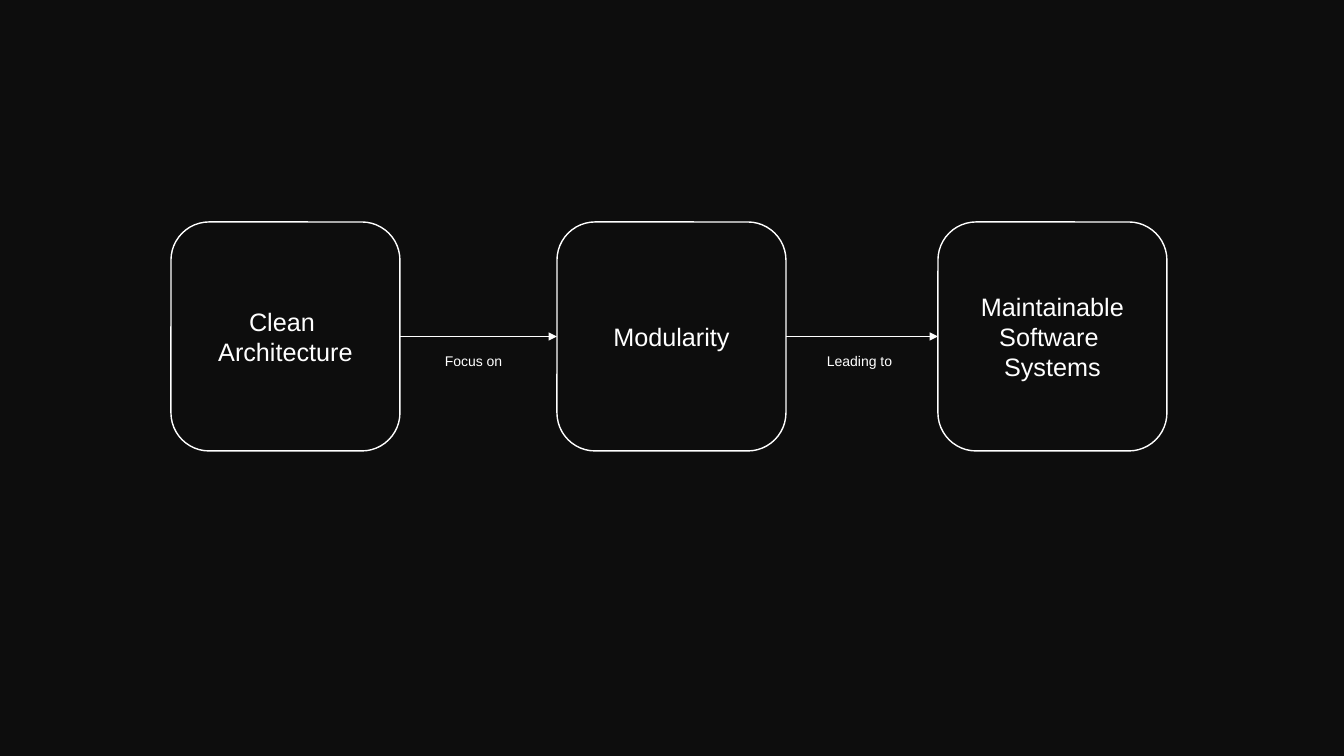
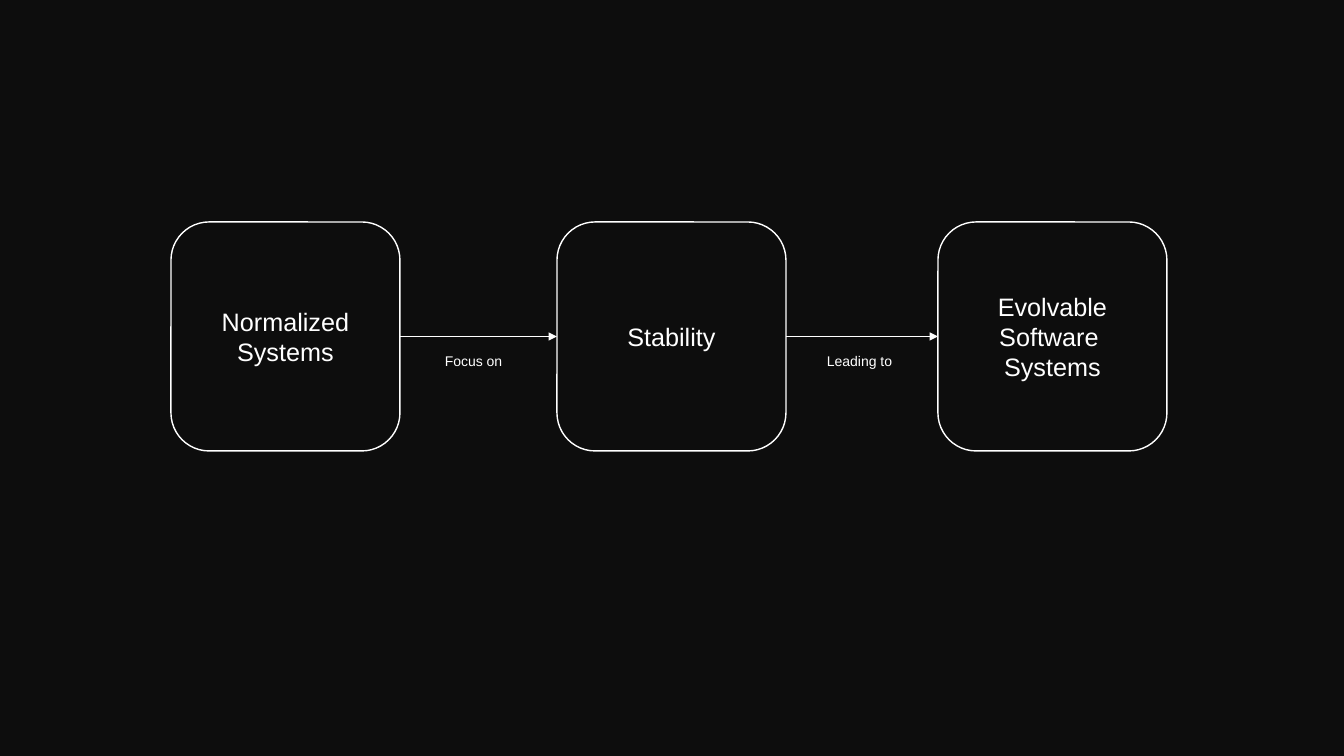
from lxml import etree
from pptx import Presentation
from pptx.dml.color import RGBColor
from pptx.enum.shapes import MSO_CONNECTOR, MSO_SHAPE
from pptx.enum.text import MSO_ANCHOR, MSO_AUTO_SIZE, PP_ALIGN
from pptx.oxml.ns import qn
from pptx.util import Pt

ROUNDED = MSO_SHAPE.ROUNDED_RECTANGLE
STRAIGHT = MSO_CONNECTOR.STRAIGHT
CENTER = PP_ALIGN.CENTER
TOP = MSO_ANCHOR.TOP
MIDDLE = MSO_ANCHOR.MIDDLE
FIT_SHAPE = MSO_AUTO_SIZE.SHAPE_TO_FIT_TEXT
NO_FIT = MSO_AUTO_SIZE.NONE

PX = 914400 / 100.8
COLORS = {"background": "0D0D0D", "foreground": "FFFFFF"}
FONT = "Arial"
BLANK_LAYOUT = 6
LEFT_SITE, RIGHT_SITE = 1, 3

CHAIN_TOP = 222
STEP_SIZE = 229
STEP_LEFTS = (171, 557, 938)
LABEL_GAP, LABEL_DROP = 15, 12
LABEL_WIDTH, LABEL_HEIGHT = 117, 27
LINK_LABELS = ("Focus on", "Leading to")

CHAINS = (
    ("Clean \vArchitecture", "Modularity", "Maintainable\vSoftware \vSystems"),
    ("Normalized\vSystems", "Stability", "Evolvable\nSoftware \vSystems"),
)


def px(*lengths):
    """Turn pixel lengths into EMU."""
    return [round(length * PX) for length in lengths]


def color(name):
    """Look up a palette colour."""
    return RGBColor.from_string(COLORS[name])


def write_text(shape, text, size=18, anchor=MIDDLE, fit=NO_FIT):
    """Fill a shape with centred, wrapped text."""
    frame = shape.text_frame
    frame.text = text
    frame.word_wrap = True
    frame.auto_size = fit
    frame.vertical_anchor = anchor
    for paragraph in frame.paragraphs:
        paragraph.alignment = CENTER
        paragraph.font.size = Pt(size)
        paragraph.font.name = FONT
        paragraph.font.color.rgb = color("foreground")


def style_line(line, width):
    """Draw a line in the foreground colour."""
    line.color.rgb = color("foreground")
    line.width = Pt(width)


def add_step(slide, left, top, size, text):
    """Add one outlined step of the chain."""
    step = slide.shapes.add_shape(ROUNDED, *px(left, top, size, size))
    step.shadow.inherit = False
    step.fill.background()
    style_line(step.line, 1)
    write_text(step, text)
    return step


def add_link(slide, source, target):
    """Join two steps with an arrow."""
    link = slide.shapes.add_connector(STRAIGHT, 0, 0, 0, 0)
    link.begin_connect(source, RIGHT_SITE)
    link.end_connect(target, LEFT_SITE)
    style_line(link.line, 1.25)
    etree.SubElement(link.line._get_or_add_ln(), qn("a:tailEnd"), type="triangle")
    etree.SubElement(link._element.spPr, qn("a:effectLst"))


def add_link_label(slide, left, top, text):
    """Add the caption below an arrow."""
    label = slide.shapes.add_textbox(*px(left, top, LABEL_WIDTH, LABEL_HEIGHT))
    write_text(label, text, size=10, anchor=TOP, fit=FIT_SHAPE)


def add_chain_slide(deck, texts):
    """Add a slide with a chain of linked steps."""
    slide = deck.slides.add_slide(deck.slide_layouts[BLANK_LAYOUT])
    steps = [
        add_step(slide, left, CHAIN_TOP, STEP_SIZE, text)
        for left, text in zip(STEP_LEFTS, texts)
    ]
    label_top = CHAIN_TOP + STEP_SIZE // 2 + LABEL_DROP
    for source, target, left, text in zip(steps, steps[1:], STEP_LEFTS, LINK_LABELS):
        add_link(slide, source, target)
        add_link_label(slide, left + STEP_SIZE + LABEL_GAP, label_top, text)


def main():
    """Build and save the deck."""
    deck = Presentation()
    deck.slide_width, deck.slide_height = px(1344, 756)
    backdrop = deck.slide_master.background.fill
    backdrop.solid()
    backdrop.fore_color.rgb = color("background")
    for texts in CHAINS:
        add_chain_slide(deck, texts)
    deck.save("out.pptx")


if __name__ == "__main__":
    main()
